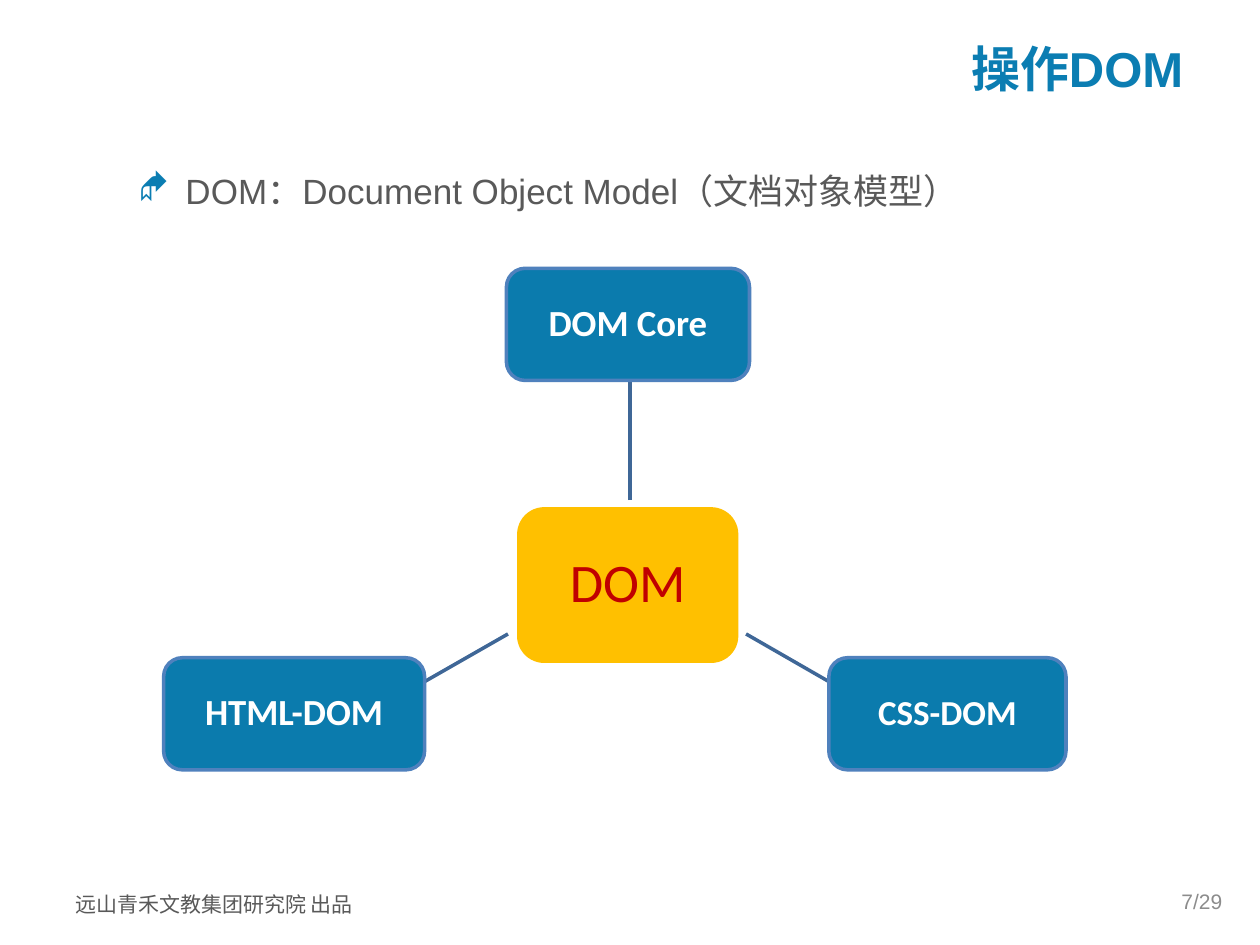
import pptx
import pptx.util
import pptx.dml.color
import pptx.oxml.ns
from lxml import etree
from pptx.enum.shapes import MSO_CONNECTOR, MSO_SHAPE
from pptx.enum.text import MSO_ANCHOR, PP_ALIGN

Cm, Pt = pptx.util.Cm, pptx.util.Pt
qn = pptx.oxml.ns.qn


def rgb(hex_code):
    return pptx.dml.color.RGBColor.from_string(hex_code)


class Deck:
    CJK = "Noto Sans CJK SC"
    BLUE, BOX, EDGE, LINK = "0B7DB2", "0B7BAD", "4F81BD", "3F6797"
    GOLD, RED, WHITE, GREY, PALE = "FFC000", "C00000", "FFFFFF", "595959", "8C8C8C"

    def __init__(self):
        self.prs = pptx.Presentation()
        self.prs.slide_width, self.prs.slide_height = Cm(25.4), Cm(19.05)
        self.s = self.prs.slides.add_slide(self.prs.slide_layouts[6])

    def set_text(self, sp, text, size, color, font="Arial", bold=False,
                 align=PP_ALIGN.LEFT, anchor=MSO_ANCHOR.TOP, spacing=1.0):
        tf = sp.text_frame
        tf.word_wrap = True
        tf.vertical_anchor = anchor
        p = tf.paragraphs[0]
        p.text = text
        p.alignment = align
        p.line_spacing = spacing
        r = p.runs[0]
        r.font.size, r.font.name, r.font.bold = Pt(size), font, bold
        r.font.color.rgb = rgb(color)
        etree.SubElement(r._r.get_or_add_rPr(), qn("a:ea"), typeface=self.CJK)
        return p

    def text(self, x, y, w, h, text, size, color, **style):
        sp = self.s.shapes.add_textbox(Cm(x), Cm(y), Cm(w), Cm(h))
        return self.set_text(sp, text, size, color, **style)

    def bullet(self, p, char, color, indent):
        """Give a paragraph a coloured bullet and a hanging indent."""
        pPr = p._p.get_or_add_pPr()
        pPr.set("marL", str(Cm(indent)))
        pPr.set("indent", str(-Cm(indent)))
        clr = etree.SubElement(pPr, qn("a:buClr"))
        etree.SubElement(clr, qn("a:srgbClr"), val=color)
        etree.SubElement(pPr, qn("a:buFont"), typeface="Wingdings")
        etree.SubElement(pPr, qn("a:buChar"), char=char)

    def box(self, x, y, w, h, text, size, color, fill, edge, bold=True):
        sp = self.s.shapes.add_shape(MSO_SHAPE.ROUNDED_RECTANGLE,
                                     Cm(x), Cm(y), Cm(w), Cm(h))
        sp.shadow.inherit = False
        sp.fill.solid()
        sp.fill.fore_color.rgb = rgb(fill)
        sp.line.color.rgb = rgb(edge)
        sp.line.width = Pt(2)
        self.set_text(sp, text, size, color, font="Calibri", bold=bold,
                      align=PP_ALIGN.CENTER, anchor=MSO_ANCHOR.MIDDLE, spacing=0.9)

    def link(self, x1, y1, x2, y2):
        c = self.s.shapes.add_connector(MSO_CONNECTOR.STRAIGHT,
                                        Cm(x1), Cm(y1), Cm(x2), Cm(y2))
        c.line.color.rgb = rgb(self.LINK)
        c.line.width = Pt(2)
        etree.SubElement(c._element.spPr, qn("a:effectLst"))


def main():
    d = Deck()
    d.text(1.27, 17.75, 6.43, 0.86, "远山青禾文教集团研究院 出品", 12, d.GREY,
           font=d.CJK, spacing=1.2)
    d.text(2.54, 0.79, 21.56, 1.14, "操作DOM", 28, d.BLUE, bold=True,
           align=PP_ALIGN.RIGHT, anchor=MSO_ANCHOR.MIDDLE)
    p = d.text(2.54, 3.12, 21.56, 11.99,
               "DOM：Document Object Model（文档对象模型）", 20, d.GREY, spacing=1.2)
    p.space_before = Pt(4)
    d.bullet(p, "◆", d.BLUE, 0.95)

    d.box(10.46, 10.26, 4.39, 3.07, "DOM", 31, d.RED, d.GOLD, d.GOLD, bold=False)
    for ends in ((12.7, 10.08, 12.7, 7.7),
                 (15.04, 12.78, 16.71, 13.74),
                 (10.24, 12.78, 8.56, 13.74)):
        d.link(*ends)
    for x, y, w, label, size in ((10.21, 5.41, 4.9, "DOM Core", 21),
                                 (16.71, 13.26, 4.78, "CSS-DOM", 20),
                                 (3.3, 13.26, 5.26, "HTML-DOM", 21)):
        d.box(x, y, w, 2.26, label, size, d.WHITE, d.BOX, d.EDGE)

    d.text(18.97, 17.65, 5.92, 1.02, "7/29", 12, d.PALE,
           align=PP_ALIGN.RIGHT, anchor=MSO_ANCHOR.MIDDLE)
    d.prs.save("out.pptx")


if __name__ == "__main__":
    main()
